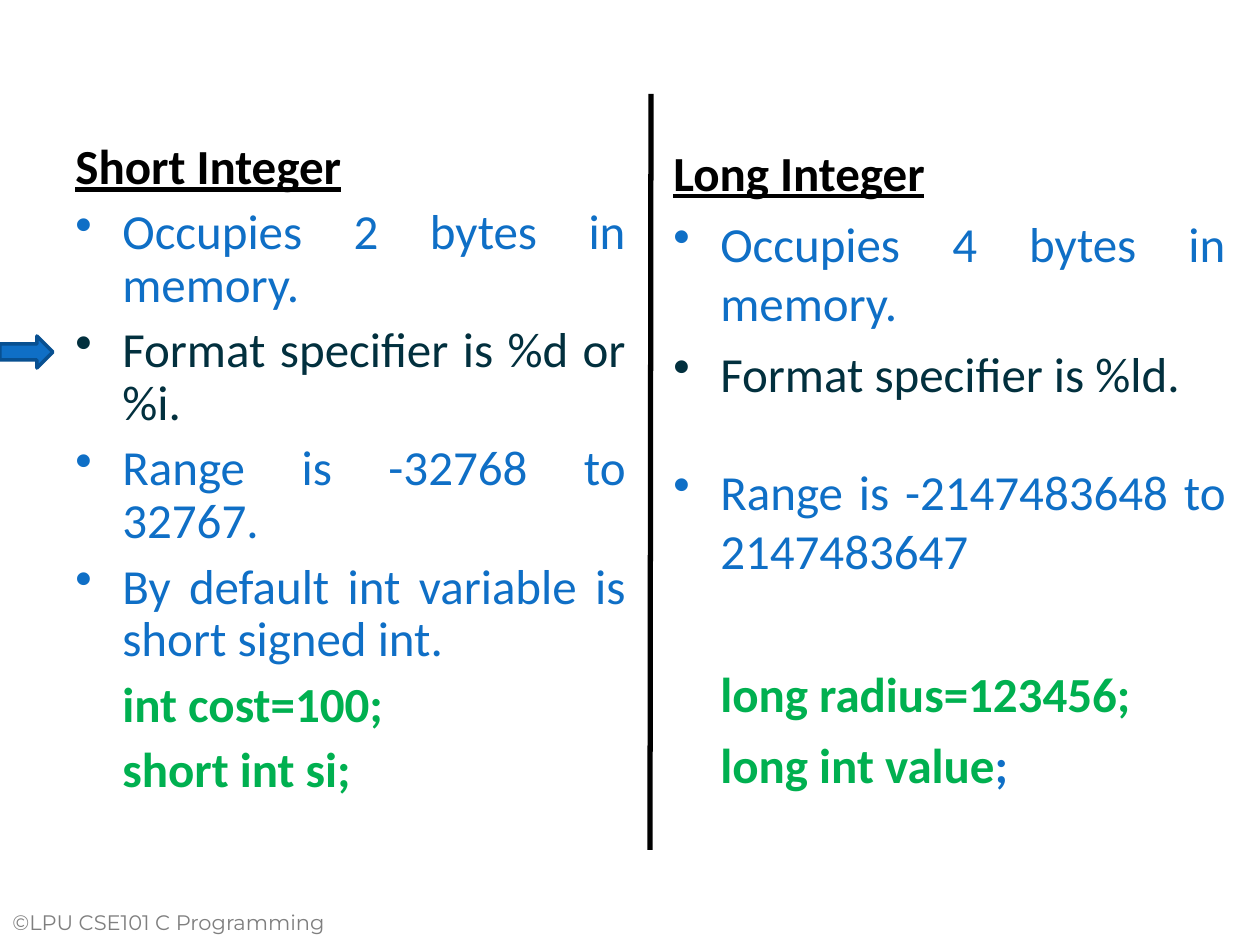
from dataclasses import dataclass

from lxml.etree import SubElement
from pptx import Presentation
from pptx.dml.color import RGBColor as Rgb
from pptx.enum.shapes import MSO_CONNECTOR as Connector, MSO_SHAPE as Shape
from pptx.enum.text import MSO_ANCHOR as Anchor, PP_ALIGN as Align
from pptx.oxml.ns import qn
from pptx.util import Emu, Pt


@dataclass(frozen=True)
class Theme:
    font: str = "Calibri"
    footer_font: str = "Montserrat"
    size: int = 28
    footer_size: int = 12
    black: str = "000000"
    white: str = "FFFFFF"
    blue: str = "0F6FC6"
    edge: str = "085091"
    dark: str = "02303E"
    green: str = "00B050"
    grey: str = "7F7F7F"


THEME = Theme()
INDENT = 47
GAP = 7


def px(count):
    return Emu(round(count * 914400 / 126))


def add_run(para, text, color, font=THEME.font, size=THEME.size):
    span = para.add_run()
    span.text = text
    span.font.name = font
    span.font.size = Pt(size)
    span.font.color.rgb = Rgb.from_string(color)
    return span


deck = Presentation()
deck.slide_width, deck.slide_height = px(1260), px(945)
page = deck.slides.add_slide(deck.slide_layouts[6])

footer = page.shapes.add_textbox(px(0), px(903), px(378), px(53)).text_frame
footer.word_wrap = True
add_run(footer.paragraphs[0], "©LPU CSE101 C Programming", THEME.grey,
        THEME.footer_font, THEME.footer_size)

# Each line: kind, space before in points, runs of (text, colour)
long_lines = [
    ("title", 0, [("Long Integer", THEME.black)]),
    ("bullet", GAP, [("Occupies 4 bytes in memory.", THEME.blue)]),
    ("bullet", GAP, [("Format specifier is %ld.", THEME.dark)]),
    ("bullet", 34, [("Range is -2147483648 to 2147483647", THEME.blue)]),
    ("code", 48, [("long radius=123456;", THEME.green)]),
    ("code", GAP, [("long int value", THEME.green), (";", THEME.blue)]),
]
short_lines = [
    ("title", 0, [("Short Integer", THEME.black)]),
    ("bullet", GAP, [("Occupies 2 bytes in memory.", THEME.blue)]),
    ("bullet", GAP, [("Format specifier is %d or %i.", THEME.dark)]),
    ("bullet", GAP, [("Range is -32768 to 32767.", THEME.blue)]),
    ("bullet", GAP, [("By default int variable is short signed int.", THEME.blue)]),
    ("code", GAP, [("int cost=100;", THEME.green)]),
    ("code", GAP, [("short int si;", THEME.green)]),
]

for left, width, spacing, lines in [
    (661, 577, 1.0, long_lines),
    (63, 575, 0.9, short_lines),
]:
    panel = page.shapes.add_shape(Shape.RECTANGLE, px(left), px(136), px(width), px(703))
    panel.shadow.inherit = False
    panel.fill.solid()
    panel.fill.fore_color.rgb = Rgb.from_string(THEME.white)
    panel.line.fill.background()
    frame = panel.text_frame
    frame.word_wrap = True
    frame.vertical_anchor = Anchor.TOP

    for number, (kind, before, runs) in enumerate(lines):
        para = frame.add_paragraph() if number else frame.paragraphs[0]
        props = para._p.get_or_add_pPr()
        if kind != "title":
            props.set("marL", str(px(INDENT)))
        if kind == "bullet":
            props.set("indent", str(-px(INDENT)))
            bullet_color = SubElement(props, qn("a:buClr"))
            SubElement(bullet_color, qn("a:srgbClr")).set("val", runs[0][1])
            SubElement(props, qn("a:buChar")).set("char", "•")
        para.alignment = Align.JUSTIFY
        para.line_spacing = spacing
        para.space_before = Pt(before)
        for text, color in runs:
            span = add_run(para, text, color)
            span.font.bold = kind != "bullet"
            span.font.underline = kind == "title"

arrow = page.shapes.add_shape(Shape.RIGHT_ARROW, px(0), px(336), px(53), px(32))
arrow.shadow.inherit = False
arrow.fill.solid()
arrow.fill.fore_color.rgb = Rgb.from_string(THEME.blue)
arrow.line.color.rgb = Rgb.from_string(THEME.edge)
arrow.line.width = Pt(2)

divider = page.shapes.add_connector(Connector.STRAIGHT, px(650), px(850), px(651), px(94))
divider.line.color.rgb = Rgb.from_string(THEME.black)
divider.line.width = Pt(3)
SubElement(divider._element.spPr, qn("a:effectLst"))

deck.save("out.pptx")
